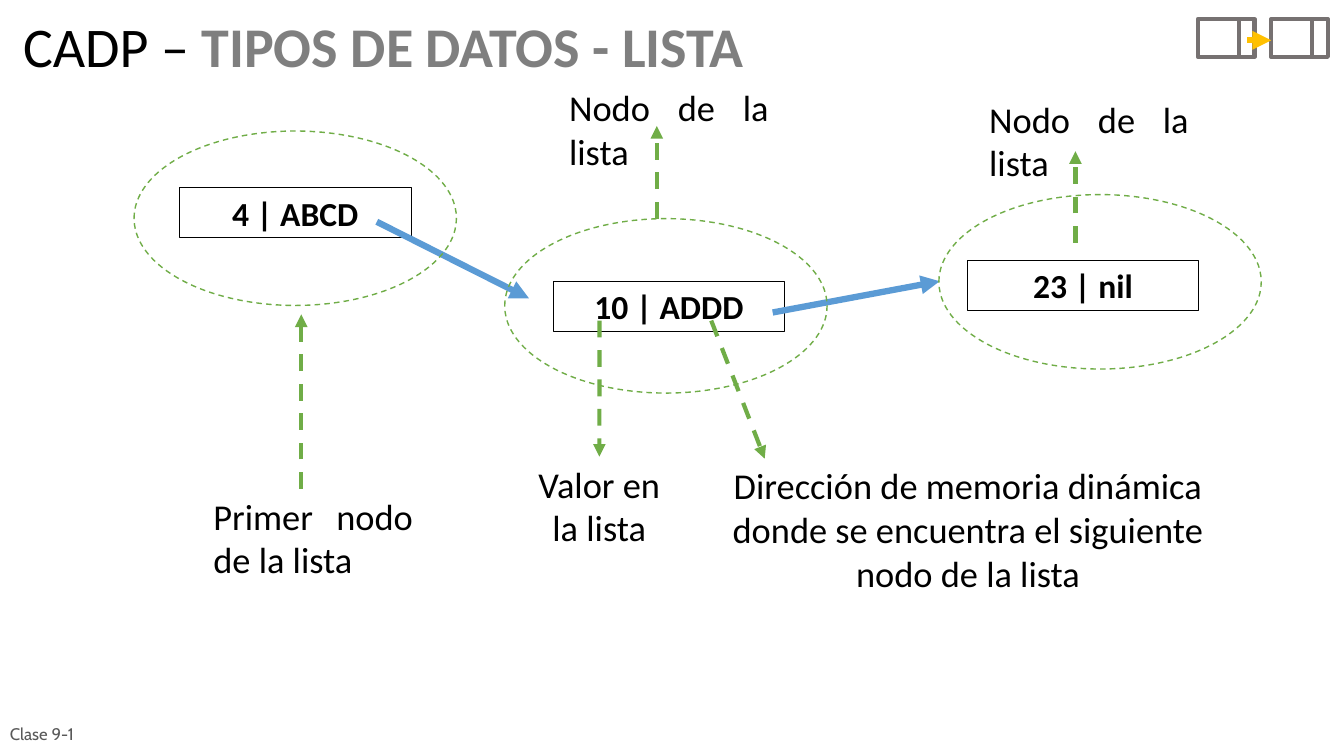
from dataclasses import dataclass

from lxml.etree import SubElement
from pptx import Presentation
from pptx.dml.color import RGBColor as RGB
from pptx.enum.dml import MSO_LINE as Dash
from pptx.enum.shapes import MSO_CONNECTOR as Link, MSO_SHAPE as Form
from pptx.enum.text import MSO_ANCHOR as Anchor, PP_ALIGN as Align
from pptx.oxml.ns import qn
from pptx.util import Pt


@dataclass(frozen=True)
class Theme:
    font: str = "Calibri"
    foot_font: str = "Cabin"
    black: RGB = RGB(0, 0, 0)
    gray: RGB = RGB(0x7F, 0x7F, 0x7F)
    foot: RGB = RGB(0x59, 0x59, 0x59)
    icon: RGB = RGB(0x76, 0x71, 0x71)
    gold: RGB = RGB(0xFF, 0xC0, 0x00)
    blue: RGB = RGB(0x5B, 0x9B, 0xD5)
    green: RGB = RGB(0x70, 0xAD, 0x47)
    title_size: float = 40
    note_size: float = 26
    node_size: float = 24
    foot_size: float = 12


class Board:
    def __init__(self, slide, theme):
        self.shapes = slide.shapes
        self.theme = theme

    def style(self, para, size, color=None, bold=None, font=None):
        face = para.font
        face.name = font or self.theme.font
        face.size = Pt(size)
        face.bold = bold
        if color is not None:
            face.color.rgb = color

    def stroke(self, line, color, width, dash=False):
        line.color.rgb = color
        line.width = Pt(width)
        if dash:
            line.dash_style = Dash.DASH

    def text(self, words, x, y, w, h, align=Align.LEFT, size=None,
             color=None, font=None, anchor=Anchor.TOP):
        box = self.shapes.add_textbox(Pt(x), Pt(y), Pt(w), Pt(h))
        frame = box.text_frame
        frame.word_wrap = True
        frame.vertical_anchor = anchor
        para = frame.paragraphs[0]
        para.text = words
        para.alignment = align
        self.style(para, size or self.theme.note_size,
                   color or self.theme.black, font=font)
        return box

    def title(self, plain, strong, x, y, w, h):
        theme = self.theme
        box = self.text("", x, y, w, h, size=theme.title_size)
        para = box.text_frame.paragraphs[0]
        para.line_spacing = 0.9
        for words, color, bold in ((plain, theme.black, False),
                                   (strong, theme.gray, True)):
            run = para.add_run()
            run.text = words
            run.font.color.rgb = color
            run.font.bold = bold

    def shape(self, form, x, y, w, h, color, width, dash=False):
        item = self.shapes.add_shape(form, Pt(x), Pt(y), Pt(w), Pt(h))
        item.shadow.inherit = False
        item.fill.background()
        self.stroke(item.line, color, width, dash)
        return item

    def node(self, words, x, y):
        box = self.shape(Form.RECTANGLE, x, y, 165.6, 36, self.theme.black, 0.75)
        frame = box.text_frame
        frame.word_wrap = True
        frame.vertical_anchor = Anchor.TOP
        para = frame.paragraphs[0]
        para.text = words
        para.alignment = Align.CENTER
        self.style(para, self.theme.node_size, self.theme.black, True)

    def ring(self, x, y):
        self.shape(Form.OVAL, x, y, 230.4, 124.6, self.theme.green, 1, True)

    def line(self, start, end, color, width, dash=False, head=True):
        link = self.shapes.add_connector(
            Link.STRAIGHT, *(Pt(v) for v in (*start, *end)))
        self.stroke(link.line, color, width, dash)
        if head:
            SubElement(link.line._get_or_add_ln(), qn("a:tailEnd"), type="triangle")
        SubElement(link._element.spPr, qn("a:effectLst"))
        return link

    def hint(self, start, end):
        """Dashed green arrow from a node to its note, or back."""
        return self.line(start, end, self.theme.green, 3, True)

    def icon(self, x, y):
        """Two small list cells joined by an arrow."""
        color, w, h, step = self.theme.icon, 40.5, 27, 52.5
        for left in (x, x + step):
            self.shape(Form.RECTANGLE, left, y, w, h, color, 3)
            bar = left + 29.2
            self.line((bar, y), (bar, y + h), color, 3, head=False)
        mid = y + 15.2
        self.line((x + 35.3, mid), (x + step, mid), self.theme.gold, 4.5)


def main():
    deck = Presentation()
    deck.slide_width, deck.slide_height = Pt(960.5), Pt(540)
    theme = Theme()
    board = Board(deck.slides.add_slide(deck.slide_layouts[6]), theme)

    board.text("Clase 9-1", 0, 509, 77, 31, size=theme.foot_size,
               color=theme.foot, font=theme.foot_font, anchor=Anchor.MIDDLE)
    board.title("CADP – ", "TIPOS DE DATOS - LISTA", 9.4, 10, 629, 55)
    board.icon(856, 13.6)

    for words, x, y in (("4 | ABCD", 128.2, 134), ("10 | ADDD", 395.3, 201),
                        ("23 | nil", 691.2, 185.8)):
        board.node(words, x, y)
    for start, end in (((269.3, 158.4), (378, 213.1)),
                       ((552.2, 223.2), (671.5, 200.9))):
        board.line(start, end, theme.blue, 4.5)

    for words, x, y, ring, start, end in (
            ("Primer nodo de la lista", 145.4, 349.2, (95.8, 93.6),
             (215.3, 349.2), (215.3, 224.6)),
            ("Nodo de la lista", 399.6, 57.6, (360.7, 156.2),
             (469.4, 156.2), (469.4, 90)),
            ("Nodo de la lista", 699.8, 65.5, (671, 139),
             (768.6, 173.5), (768.6, 108))):
        board.text(words, x, y, 157, 70, Align.JUSTIFY)
        board.hint(start, end)
        board.ring(*ring)

    value = board.text("Valor en la lista", 368.6, 326.2, 119.5, 70, Align.CENTER)
    board.hint((428.4, 229), (428.4, 326.2)).end_connect(value, 0)
    board.text("Dirección de memoria dinámica donde se encuentra el siguiente "
               "nodo de la lista", 486.7, 327.6, 410.4, 101, Align.CENTER)
    board.hint((508.3, 229), (546.5, 327.6))

    deck.save("out.pptx")


if __name__ == "__main__":
    main()
